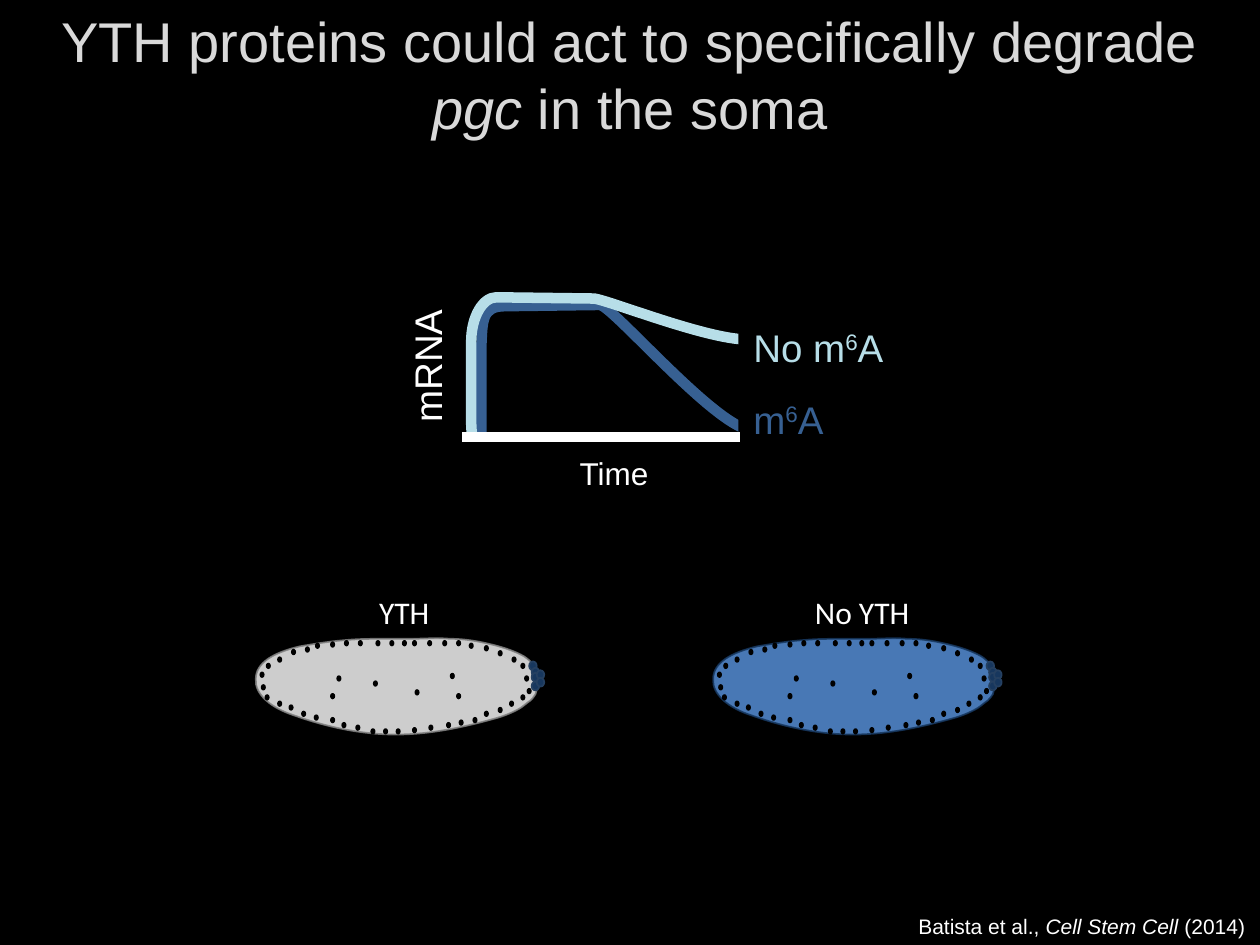
import dataclasses

import lxml.etree
import pptx
import pptx.dml.color
import pptx.enum.shapes
import pptx.enum.text
import pptx.oxml
import pptx.oxml.ns
import pptx.util
from pptx.util import Inches


@dataclasses.dataclass(frozen=True)
class Theme:
    black: str = "000000"
    white: str = "FFFFFF"
    title: str = "D9D9D9"
    methylated: str = "376092"
    unmethylated: str = "B7DEE8"
    embryo_clear: str = "F2F2F2"
    embryo_clear_edge: str = "808080"
    embryo_full: str = "558ED5"
    pole_cell: str = "17375E"
    pole_cell_edge: str = "254061"
    font: str = "Arial"
    embryo_font: str = "Calibri"
    title_size: int = 32
    label_size: int = 22
    small_label_size: int = 18
    citation_size: int = 12
    curve_width: int = 6


THEME = Theme()
ALIGN = pptx.enum.text.PP_ALIGN
SHAPE = pptx.enum.shapes.MSO_SHAPE

# Outlines: a start point, then (x, y) for a line or six numbers for a curve.
METHYLATED_CURVE = [
    (3.82, 2.76), (3.83, 2.55, 3.82, 2.43, 4.01, 2.43), (4.76, 2.42),
    (4.87, 2.42, 5.93, 3.69, 6.05, 3.36), (6.05, 3.39),
    (6.05, 3.58, 5.97, 3.73, 5.86, 3.73), (4.01, 3.73),
    (3.91, 3.73, 3.82, 3.58, 3.82, 3.39), (3.82, 2.76),
]
UNMETHYLATED_CURVE = [
    (3.74, 2.71), (3.74, 2.52, 3.83, 2.36, 3.94, 2.36), (4.71, 2.37),
    (4.82, 2.37, 6.03, 2.87, 6.07, 2.63), (6.05, 3.36),
    (6.05, 3.55, 5.96, 3.7, 5.85, 3.7), (3.94, 3.7),
    (3.83, 3.7, 3.74, 3.55, 3.74, 3.36), (3.74, 2.71),
]
EMBRYO = [
    (3.92, 5.12), (4, 5.14, 4.09, 5.17, 4.16, 5.21), (4.19, 5.23, 4.21, 5.25, 4.23, 5.27),
    (4.24, 5.31, 4.23, 5.35, 4.24, 5.39), (4.25, 5.43, 4.27, 5.47, 4.25, 5.51),
    (4.24, 5.53, 4.22, 5.55, 4.21, 5.56), (4.18, 5.58, 4.16, 5.6, 4.13, 5.62),
    (4.08, 5.65, 4.01, 5.68, 3.94, 5.7), (3.69, 5.77, 3.42, 5.83, 3.14, 5.83),
    (2.87, 5.83, 2.59, 5.77, 2.34, 5.68), (2.15, 5.62, 2.02, 5.51, 2.03, 5.39),
    (2.03, 5.26, 2.17, 5.18, 2.38, 5.13), (2.5, 5.11, 2.62, 5.09, 2.75, 5.08),
    (2.85, 5.07, 2.96, 5.07, 3.07, 5.07), (3.13, 5.07, 3.2, 5.07, 3.26, 5.07),
    (3.36, 5.07, 3.47, 5.06, 3.57, 5.07), (3.69, 5.07, 3.8, 5.09, 3.92, 5.12),
]
NUCLEI = [
    # inside
    (2.67, 5.36), (2.62, 5.5), (2.96, 5.4), (3.29, 5.47), (3.57, 5.34), (3.62, 5.5),
    # upper edge, left to right
    (2.07, 5.43), (2.06, 5.33), (2.11, 5.26), (2.2, 5.21), (2.31, 5.15), (2.42, 5.13),
    (2.5, 5.1), (2.62, 5.09), (2.73, 5.08), (2.84, 5.08), (2.98, 5.08), (3.09, 5.08),
    (3.19, 5.08), (3.27, 5.08), (3.39, 5.08), (3.51, 5.08), (3.62, 5.08), (3.72, 5.1),
    (3.84, 5.12), (3.95, 5.16), (4.06, 5.21), (4.13, 5.26), (4.16, 5.36), (4.18, 5.46),
    # lower edge, left to right
    (2.1, 5.51), (2.2, 5.56), (2.29, 5.59), (2.39, 5.64), (2.49, 5.67), (2.62, 5.69),
    (2.71, 5.73), (2.82, 5.75), (2.94, 5.78), (3.04, 5.78), (3.14, 5.78), (3.27, 5.77),
    (3.4, 5.75), (3.54, 5.73), (3.64, 5.71), (3.75, 5.69), (3.84, 5.64), (3.95, 5.61),
    (4.04, 5.56), (4.13, 5.51),
]
POLE_CELLS = [(4.2, 5.25), (4.22, 5.3), (4.22, 5.34), (4.22, 5.41), (4.26, 5.32), (4.26, 5.38)]


def rgb(color):
    return pptx.dml.color.RGBColor.from_string(color)


def paint(shape, fill=None, line=None, width=1):
    shape.shadow.inherit = False
    for part, color in ((shape.fill, fill), (shape.line.fill, line)):
        if color:
            part.solid()
            part.fore_color.rgb = rgb(color)
        else:
            part.background()
    if line:
        shape.line.width = pptx.util.Pt(width)


def fade(shape, percent):
    """Make the fill and the line of a shape partly transparent."""
    tag = pptx.oxml.ns.qn("a:alpha")
    for color in shape._element.spPr.iter(pptx.oxml.ns.qn("a:srgbClr")):
        lxml.etree.SubElement(color, tag, val=str(percent * 1000))


def write(paragraph, spans, size, color, font=THEME.font, align=ALIGN.LEFT):
    """Fill a paragraph from (text, style) pairs; style is "", "italic" or "super"."""
    paragraph.alignment = align
    for text, style in spans:
        span = paragraph.add_run()
        span.text = text
        span.font.name = font
        span.font.size = pptx.util.Pt(size)
        span.font.color.rgb = rgb(color)
        if style == "italic":
            span.font.italic = True
        elif style == "super":
            span._r.get_or_add_rPr().set("baseline", "30000")


def add_label(page, place, spans, size, color, inset=0.05, wrap=True, rotation=0, **style):
    box = page.shapes.add_textbox(*map(Inches, place))
    box.rotation = rotation
    frame = box.text_frame
    frame.word_wrap = wrap
    frame.margin_left = frame.margin_right = Inches(inset)
    frame.margin_top = frame.margin_bottom = Inches(0.05)
    write(frame.paragraphs[0], spans, size, color, **style)


def add_outline(page, steps, dx=0, dy=0):
    """Draw a closed outline through the end points, then bend the curved steps."""
    ends = [(Inches(step[-2] + dx), Inches(step[-1] + dy)) for step in steps]
    builder = page.shapes.build_freeform(*ends[0])
    builder.add_line_segments(ends[1:], close=True)
    outline = builder.convert_to_shape()
    qn = pptx.oxml.ns.qn
    segments = list(outline._element.spPr.iter(qn("a:lnTo")))
    for segment, step in zip(segments, steps[1:]):
        if len(step) == 6:
            curve = lxml.etree.Element(qn("a:cubicBezTo"))
            for x, y in zip(step[::2], step[1::2]):
                lxml.etree.SubElement(curve, qn("a:pt"), x=str(Inches(x + dx) - outline.left),
                                      y=str(Inches(y + dy) - outline.top))
            segment.getparent().replace(segment, curve)
    return outline


def add_shape(page, kind, place, fill, line=None):
    paint(page.shapes.add_shape(kind, *map(Inches, place)), fill, line)


def add_axis(page, left, right, y):
    axis = page.shapes.add_connector(pptx.enum.shapes.MSO_CONNECTOR.STRAIGHT,
                                     Inches(right), Inches(y), Inches(left), Inches(y))
    axis.line.color.rgb = rgb(THEME.white)
    axis.line.width = pptx.util.Pt(THEME.curve_width)
    lxml.etree.SubElement(axis._element.spPr, pptx.oxml.ns.qn("a:effectLst"))


def add_decay_plot(page):
    for curve, color in ((METHYLATED_CURVE, THEME.methylated),
                         (UNMETHYLATED_CURVE, THEME.unmethylated)):
        paint(add_outline(page, curve), line=color, width=THEME.curve_width)
    # Masks leave only the upper left part of each closed curve in view.
    for mask in ((3.61, 3.44, 2.61, 0.62), (5.86, 2.28, 0.31, 1.33)):
        add_shape(page, SHAPE.RECTANGLE, mask, THEME.black)
    add_axis(page, 3.67, 5.87, 3.47)
    add_label(page, (4.55, 3.55, 0.71, 0.38), [("Time", "")], THEME.small_label_size, THEME.white)
    add_label(page, (5.93, 3.09, 0.67, 0.44), [("m", ""), ("6", "super"), ("A", "")],
              THEME.label_size, THEME.methylated)
    add_label(page, (5.93, 2.52, 1.45, 0.47), [("No m", ""), ("6", "super"), ("A", "")],
              THEME.label_size, THEME.unmethylated)
    add_label(page, (2.76, 2.67, 1.26, 0.47), [("mRNA", "")], THEME.label_size, THEME.white,
              rotation=270, align=ALIGN.CENTER)


def add_embryo(page, dx, dy, fill, edge, name, name_left, name_width):
    body = add_outline(page, EMBRYO, dx, dy)
    paint(body, fill, edge)
    fade(body, 85)
    for x, y in NUCLEI:
        add_shape(page, SHAPE.OVAL, (x + dx, y + dy, 0.04, 0.05), THEME.black)
    for x, y in POLE_CELLS:
        add_shape(page, SHAPE.OVAL, (x + dx, y + dy, 0.06, 0.07),
                  THEME.pole_cell, THEME.pole_cell_edge)
    add_label(page, (name_left, 4.66, name_width, 0.4), [(name, "")], THEME.small_label_size,
              THEME.white, inset=0.1, wrap=False, font=THEME.embryo_font)


def add_title(page):
    title = page.shapes.title
    title.left, title.top, title.width, title.height = map(Inches, (0, 0, 10, 1.17))
    title.text_frame.vertical_anchor = pptx.enum.text.MSO_ANCHOR.MIDDLE
    spans = [("YTH proteins could act to specifically degrade ", ""), ("pgc", "italic"),
             (" in the soma", "")]
    write(title.text_frame.paragraphs[0], spans, THEME.title_size, THEME.title,
          align=ALIGN.CENTER)


def main():
    deck = pptx.Presentation()
    deck.slide_width, deck.slide_height = Inches(10), Inches(7.5)
    page = deck.slides.add_slide(deck.slide_layouts[5])
    page.background.fill.solid()
    page.background.fill.fore_color.rgb = rgb(THEME.black)
    add_title(page)
    add_decay_plot(page)
    add_label(page, (4.14, 7.2, 5.84, 0.3),
              [("Batista et al., ", ""), ("Cell Stem Cell", "italic"), (" (2014)", "")],
              THEME.citation_size, THEME.white, inset=0.1, align=ALIGN.RIGHT)
    add_embryo(page, 0, 0, THEME.embryo_clear, THEME.embryo_clear_edge, "YTH", 2.91, 0.61)
    add_embryo(page, 3.63, 0, THEME.embryo_full, THEME.pole_cell, "No YTH", 6.37, 0.96)
    deck.save("out.pptx")


if __name__ == "__main__":
    main()
